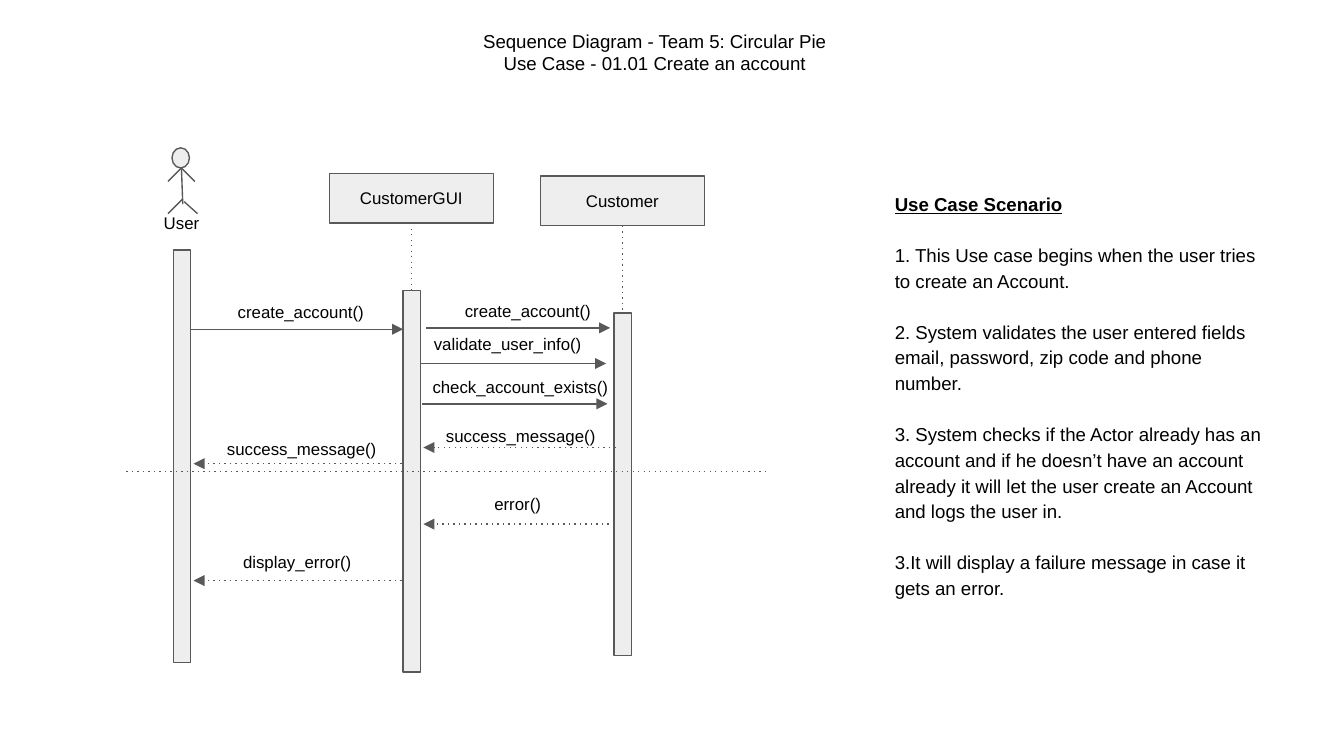
from lxml.etree import SubElement
from pptx import Presentation
from pptx.dml.color import RGBColor
from pptx.enum.dml import MSO_LINE
from pptx.enum.shapes import MSO_CONNECTOR, MSO_SHAPE
from pptx.enum.text import MSO_ANCHOR, PP_ALIGN
from pptx.oxml.ns import qn
from pptx.util import Inches, Pt

COLORS = {"fill": "EEEEEE", "line": "595959", "text": "000000"}
FONT = "Arial"
COLUMN = Inches(0.1)
ROW = Inches(0.1)
COLUMNS, ROWS = 100, 56.25
BAR_WIDTH = 1.3
LABEL_HEIGHT = 3.5

LIFELINES = [
    (None, 12.9, 18.6, 30.7),
    (("CustomerGUI", 24.5, 12.9), 30, 21.6, 28.4),
    (("Customer", 40.2, 13.1), 45.7, 23.3, 25.5),
]
HEAD_WIDTH, HEAD_HEIGHT = 12.2, 3.7

MESSAGES = [
    ("create_account()", 16.7, 21.7, 11.5, 14.2, 30, 24.5, False),
    ("create_account()", 33.6, 21.6, 11.5, 31.7, 45.4, 24.4, False),
    ("validate_user_info()", 31.3, 24.1, 17.7, 31.3, 45.1, 27.05, False),
    ("check_account_exists()", 31.2, 27.3, 17.7, 31.4, 45.2, 30.05, False),
    ("success_message()", 32.2, 30.9, 13.4, 45.8, 31.5, 33.3, True),
    ("success_message()", 15.9, 31.9, 16.8, 29.9, 14.4, 34.5, True),
    ("error()", 35.8, 36, 6.7, 45.7, 31.5, 39, True),
    ("display_error()", 17.1, 40.3, 12.2, 29.9, 14.4, 43.2, True),
]

LIMBS = [
    (13.5, 12.5, 13.6, 15.2),
    (13.5, 12.5, 14.5, 13.5),
    (13.5, 12.5, 12.5, 13.5),
    (13.6, 14.8, 12.5, 15.9),
    (13.7, 15, 14.7, 15.9),
]

TITLE = [
    "Sequence Diagram - Team 5: Circular Pie",
    "Use Case - 01.01 Create an account",
]
SCENARIO = [
    "Use Case Scenario",
    "1. This Use case begins when the user tries to create an Account.",
    "2. System validates the user entered fields email, password, zip code and phone number.",
    "3. System checks if the Actor already has an account and if he doesn’t have an "
    "account already it will let the user create an Account and logs the user in.",
    "3.It will display a failure message in case it gets an error.",
]


def color(name):
    return RGBColor.from_string(COLORS[name])


def grid(left, top, width, height):
    return (round(left * COLUMN), round(top * ROW),
            round(width * COLUMN), round(height * ROW))


def write(shape, lines, size, align=PP_ALIGN.LEFT, anchor=MSO_ANCHOR.TOP):
    frame = shape.text_frame
    frame.text = "\n".join(lines)
    frame.word_wrap = True
    frame.vertical_anchor = anchor
    frame.margin_left = frame.margin_right = Inches(0.1)
    frame.margin_top = frame.margin_bottom = Inches(0.1)
    for para in frame.paragraphs:
        para.alignment = align
        for span in para.runs:
            span.font.name = FONT
            span.font.size = Pt(size)
            span.font.color.rgb = color("text")
    return frame


def add_text(page, lines, area, size):
    return write(page.shapes.add_textbox(*grid(*area)), lines, size)


def add_box(page, area, kind=MSO_SHAPE.RECTANGLE):
    box = page.shapes.add_shape(kind, *grid(*area))
    box.shadow.inherit = False
    box.fill.solid()
    box.fill.fore_color.rgb = color("fill")
    box.line.color.rgb = color("line")
    box.line.width = Pt(0.75)
    return box


def add_line(page, start_x, start_y, end_x, end_y, dotted=False, arrow=False):
    line = page.shapes.add_connector(
        MSO_CONNECTOR.STRAIGHT, *grid(start_x, start_y, end_x, end_y))
    line.line.color.rgb = color("line")
    line.line.width = Pt(0.75)
    if dotted:
        line.line.dash_style = MSO_LINE.ROUND_DOT
        line.line._ln.find(qn("a:prstDash")).set("val", "dot")
    if arrow:
        SubElement(line.line._ln, qn("a:tailEnd"),
                   type="triangle", w="med", len="med")
    SubElement(line._element.spPr, qn("a:effectLst"))


def add_title(page):
    title = page.shapes.title
    title.left, title.top, title.width, title.height = grid(33.3, 1.2, 30.8, 5.4)
    write(title, TITLE, 10, PP_ALIGN.CENTER)


def add_actor(page):
    add_box(page, (12.8, 11, 1.3, 1.5), MSO_SHAPE.OVAL)
    for limb in LIMBS:
        add_line(page, *limb)
    add_text(page, ["User"], (11.2, 15.1, 7.7, LABEL_HEIGHT), 9)


def add_lifeline(page, head, left, top, height):
    add_box(page, (left, top, BAR_WIDTH, height))
    if head:
        name, head_left, head_top = head
        box = add_box(page, (head_left, head_top, HEAD_WIDTH, HEAD_HEIGHT))
        write(box, [name], 9, PP_ALIGN.CENTER, MSO_ANCHOR.MIDDLE)
        center = head_left + HEAD_WIDTH / 2
        add_line(page, center, head_top + HEAD_HEIGHT, center, top, dotted=True)


def add_message(page, label, left, top, width, start, end, level, dotted):
    add_line(page, start, level, end, level, dotted, arrow=True)
    add_text(page, [label], (left, top, width, LABEL_HEIGHT), 9)


def add_scenario(page):
    frame = add_text(page, SCENARIO, (65.6, 13.1, 29.7, 32.7), 10)
    for para in frame.paragraphs:
        para.line_spacing = 1.15
        para.space_after = Pt(13.5)
    heading = frame.paragraphs[0].runs[0].font
    heading.bold = heading.underline = True


def main():
    deck = Presentation()
    deck.slide_width = round(COLUMNS * COLUMN)
    deck.slide_height = round(ROWS * ROW)
    page = deck.slides.add_slide(deck.slide_layouts[5])
    add_title(page)
    add_actor(page)
    for lifeline in LIFELINES:
        add_lifeline(page, *lifeline)
    add_line(page, 9.4, 35.1, 57.1, 35.1, dotted=True)
    for message in MESSAGES:
        add_message(page, *message)
    add_scenario(page)
    deck.save("out.pptx")


main()
